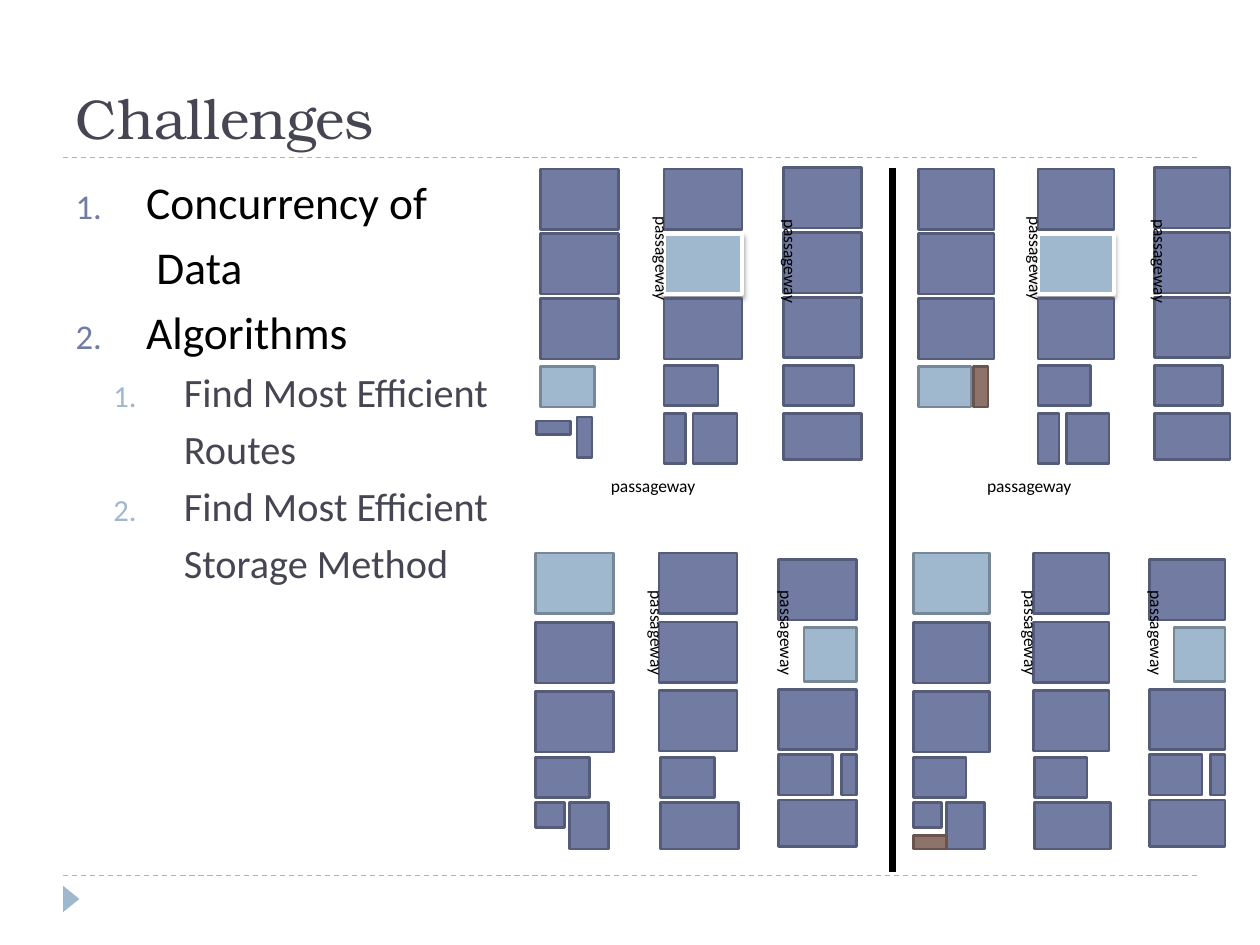
import dataclasses
import lxml.etree
import pptx
import pptx.dml.color
import pptx.enum.dml
import pptx.enum.shapes
import pptx.enum.text
import pptx.oxml.ns
import pptx.util

qn = pptx.oxml.ns.qn
SHAPE = pptx.enum.shapes.MSO_SHAPE


def node(root, tag, **attrs):
    """Append a drawing element with its attributes."""
    return lxml.etree.SubElement(root, qn(tag), attrs)


def tint(code):
    """Turn a hex code into a colour."""
    return pptx.dml.color.RGBColor.from_string(code)


@dataclasses.dataclass(frozen=True)
class Theme:
    """Colours, fonts and type sizes."""
    ink: str = "000000"
    slate: str = "464653"
    blue: str = "727CA3"
    pale: str = "9FB8CD"
    serif: str = "TeX Gyre Bonum"
    sans: str = "Calibri"
    title: int = 32
    items: tuple = (26, 23)
    label: int = 10
    tiles: tuple = (
        ("blue", ("727CA3", "545C79", 1.5)),
        ("pale", ("9FB8CD", "768898", 1.5)),
        ("brown", ("8E736A", "69554E", 1.5)),
        ("focus", ("9FB8CD", "FFFFFF", 2)),
    )


class Sheet:
    """Draws on one slide with a grid of 100 columns and 75 rows."""

    def __init__(self, deck, theme):
        """Add the slide and keep its style."""
        self.theme = theme
        self.tiles = dict(theme.tiles)
        self.unit = deck.slide_width / 100
        self.slide = deck.slides.add_slide(deck.slide_layouts[1])
        self.root = self.slide.shapes

    def grid(self, *cells):
        """Turn grid cells into lengths."""
        return [pptx.util.Emu(round(cell * self.unit)) for cell in cells]

    def place(self, shape, *box):
        """Move and size a shape."""
        shape.left, shape.top, shape.width, shape.height = self.grid(*box)

    def style(self, para, face, size, code):
        """Format the runs of a paragraph."""
        for run in para.runs:
            run.font.name = face
            run.font.size = pptx.util.Pt(size)
            run.font.color.rgb = tint(code)

    def title(self, text, *box):
        """Fill the title placeholder."""
        shape = self.root.title
        self.place(shape, *box)
        frame = shape.text_frame
        frame.text = text
        frame.vertical_anchor = pptx.enum.text.MSO_ANCHOR.BOTTOM
        para = frame.paragraphs[0]
        para.alignment = pptx.enum.text.PP_ALIGN.LEFT
        self.style(para, self.theme.serif, self.theme.title, self.theme.slate)

    def items(self, rows, *box):
        """Fill the body placeholder with a numbered outline."""
        theme = self.theme
        shape = self.slide.placeholders[1]
        self.place(shape, *box)
        frame = shape.text_frame
        frame.text = "\n".join(text for _, _, text in rows)
        frame.auto_size = pptx.enum.text.MSO_AUTO_SIZE.NONE
        for para, (level, count, _) in zip(frame.paragraphs, rows):
            para.level = level
            para.space_before = pptx.util.Pt(6 - level)
            props = para._p.get_or_add_pPr()
            left, hang = self.grid(5.6 + 3 * level, -5.6)
            props.set("marL", str(left))
            props.set("indent", str(hang))
            if count:
                hue = node(props, "a:buClr")
                node(hue, "a:srgbClr", val=(theme.blue, theme.pale)[level])
                node(props, "a:buSzPct", val="76000")
                node(props, "a:buFont", typeface="+mj-lt")
                node(props, "a:buAutoNum", type="arabicPeriod", startAt=str(count))
            else:
                node(props, "a:buNone")
            code = (theme.ink, theme.slate)[level]
            self.style(para, theme.sans, theme.items[level], code)

    def rule(self, ends, code, width, dash=False):
        """Draw a straight line."""
        kind = pptx.enum.shapes.MSO_CONNECTOR.STRAIGHT
        line = self.root.add_connector(kind, *self.grid(*ends))
        line.line.color.rgb = tint(code)
        line.line.width = pptx.util.Pt(width)
        if dash:
            line.line.dash_style = pptx.enum.dml.MSO_LINE.DASH
        node(line._element.spPr, "a:effectLst")

    def mark(self, *box):
        """Draw the footer triangle."""
        shape = self.root.add_shape(SHAPE.ISOSCELES_TRIANGLE, *self.grid(*box))
        shape.rotation = 90
        shape.shadow.inherit = False
        shape.fill.solid()
        shape.fill.fore_color.rgb = tint(self.theme.pale)
        shape.line.fill.background()

    def tile(self, root, kind, box):
        """Draw one storage block."""
        fill, edge, width = self.tiles[kind]
        shape = root.add_shape(SHAPE.RECTANGLE, *self.grid(*box))
        shape.shadow.inherit = False
        shape.fill.solid()
        shape.fill.fore_color.rgb = tint(fill)
        shape.line.color.rgb = tint(edge)
        shape.line.width = pptx.util.Pt(width)
        if kind == "focus":
            glow = node(shape._element.spPr.find(qn("a:effectLst")), "a:outerShdw",
                        blurRad="38100", dist="25400", dir="5400000", rotWithShape="0")
            node(node(glow, "a:srgbClr", val=self.theme.ink), "a:alpha", val="40000")

    def label(self, root, text, box, turn):
        """Write a small label, turned downwards if asked."""
        frame = root.add_textbox(*self.grid(*box)).text_frame
        frame.text = text
        frame.word_wrap = True
        if turn:
            frame._txBody.bodyPr.set("vert", "eaVert")
        self.style(frame.paragraphs[0], self.theme.sans, self.theme.label, self.theme.ink)

    def floor(self, tiles, left, wide, tall):
        """Draw one storage floor, scaled to its half."""
        root = self.root.add_group_shape().shapes

        def fit(x, y, w, h):
            """Scale a box into this half."""
            return left + (x - 42.5) * wide, 13.3 + (y - 13.3) * tall, w * wide, h * tall

        for kind, *box in tiles:
            self.tile(root, kind, fit(*box))
        for x, y in ((45.8, 16.2), (56, 16.4), (45.4, 45.9), (55.7, 45.9)):
            self.label(root, "passageway", fit(x, y, 8.1, 26.4), True)
        self.label(root, "passageway", fit(47.5, 37.2, 18.6, 5.2), False)


def stack():
    """List the blocks that both floors share."""
    special = {(0, 1, 1): "focus", (1, 0, 0): "pale"}
    bays = (
        ((42.9, 13.4, 5.15), (52.7, 13.4, 5.15), (62.2, 13.3, 5.15)),
        ((42.5, 43.9, 5.5), (52.3, 43.9, 5.45), (61.8, 44.4, 5.15)),
    )
    tiles = []
    for b, bay in enumerate(bays):
        for c, (x, y, step) in enumerate(bay):
            for r in range(3):
                if (b, c, r) != (1, 2, 1):
                    kind = special.get((b, c, r), "blue")
                    tiles.append((kind, x, y + r * step, 6.2, 4.8))
    return tiles + [
        ("pale", 42.9, 29.1, 4.3, 3.2),
        ("blue", 52.7, 29, 4.3, 3.2),
        ("blue", 52.7, 32.8, 1.7, 4),
        ("blue", 55, 32.8, 3.5, 4),
        ("blue", 62.2, 29, 5.6, 3.2),
        ("blue", 62.2, 32.8, 6.2, 3.7),
        ("blue", 42.5, 60.1, 4.3, 3.2),
        ("blue", 42.5, 63.7, 2.3, 2),
        ("blue", 45.2, 63.7, 3.1, 3.7),
        ("blue", 52.4, 60.1, 4.3, 3.2),
        ("blue", 52.4, 63.7, 6.2, 3.7),
        ("pale", 63.8, 49.8, 4.2, 4.3),
        ("blue", 61.8, 59.9, 4.3, 3.2),
        ("blue", 66.8, 59.9, 1.2, 3.2),
        ("blue", 61.8, 63.5, 6.2, 3.7),
    ]


def main():
    """Build and save the slide."""
    deck = pptx.Presentation()
    deck.slide_width = pptx.util.Inches(10)
    deck.slide_height = pptx.util.Inches(7.5)
    theme = Theme()
    sheet = Sheet(deck, theme)
    for y in (69.5, 12.5):
        sheet.rule((5, y, 95, y), theme.pale, 0.75, dash=True)
    sheet.mark(4.6, 70.7, 2.1, 1.3)
    sheet.title("Challenges", 5, 1.7, 90, 10.8)
    sheet.items((
        (0, 1, "Concurrency of"),
        (0, 0, "\t Data"),
        (0, 2, "Algorithms"),
        (1, 1, "Find Most Efficient"),
        (1, 0, "\tRoutes"),
        (1, 2, "Find Most Efficient"),
        (1, 0, "\tStorage Method"),
    ), 5, 13.3, 90, 54)
    tiles = stack()
    small = [("blue", 45.8, 33.1, 1.2, 3.2), ("blue", 42.6, 33.4, 2.7, 1.1)]
    added = [("brown", 42.5, 66.3, 2.7, 1.1), ("brown", 47.4, 29.1, 1.2, 3.2)]
    sheet.floor(tiles + small, 42.5, 1, 1)
    sheet.floor(tiles + added, 72.5, 0.97, 1)
    sheet.rule((70.8, 13.3, 70.8, 69.2), theme.ink, 4)
    deck.save("out.pptx")


if __name__ == "__main__":
    main()
